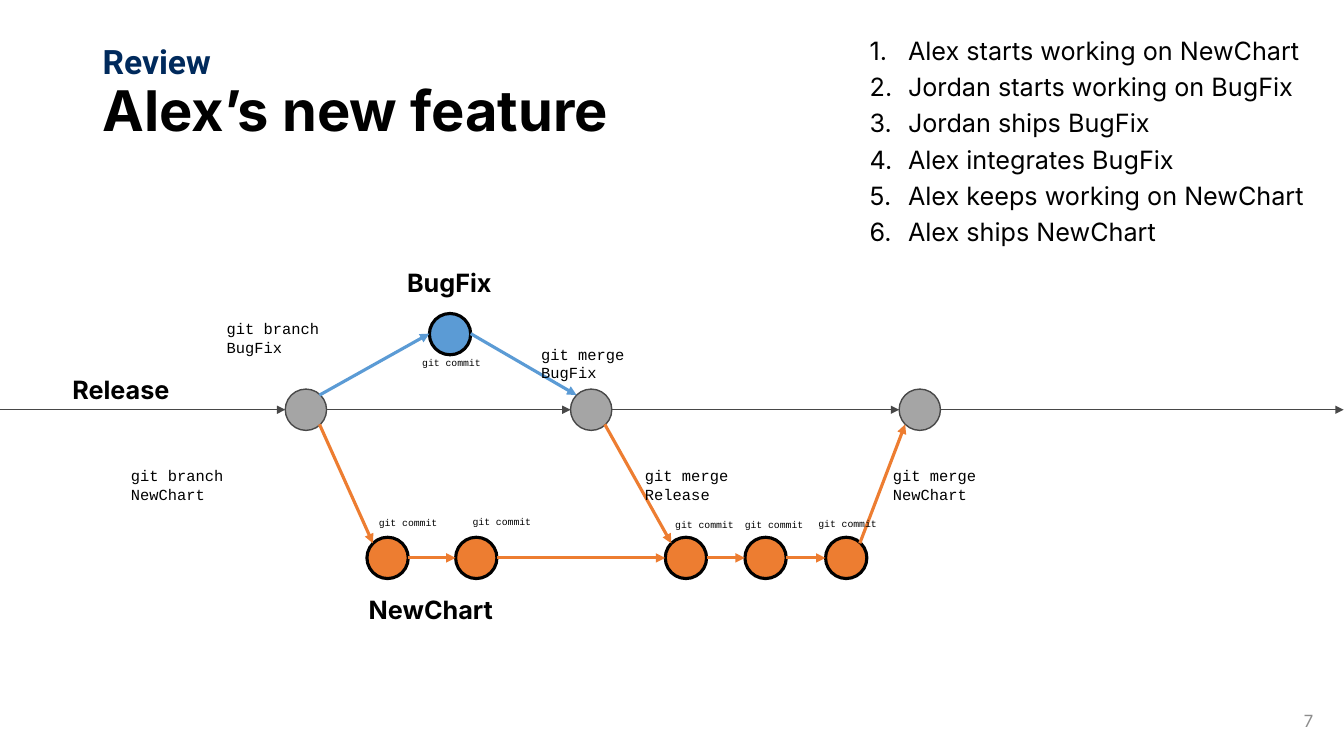
from pptx import Presentation
from pptx.dml.color import RGBColor
from pptx.enum.shapes import MSO_CONNECTOR, MSO_SHAPE
from pptx.enum.text import MSO_ANCHOR, MSO_AUTO_SIZE, PP_ALIGN
from pptx.oxml.ns import qn
from pptx.util import Pt
from lxml.etree import SubElement

PX = 9144  # 100 px to the inch
COLORS = {
    "black": "000000", "navy": "002A5C", "number": "8C8C8C",
    "release": "A5A5A5", "line": "484848",
    "newchart": "ED7D31", "bugfix": "5B9BD5",
}
RGB = {name: RGBColor.from_string(code) for name, code in COLORS.items()}
D = 41  # commit circle diameter
RELEASE_Y, NEWCHART_Y, BUGFIX_Y = 386, 533, 311

prs = Presentation()
prs.slide_width, prs.slide_height = 12192000, 750 * PX
s = prs.slides.add_slide(prs.slide_layouts[5])


def write(sp, box, text, size, font="Inter", color="black", bold=False, wrap=False):
    sp.left, sp.top, sp.width, sp.height = (v * PX for v in box)
    tf = sp.text_frame
    tf.text = text
    tf.word_wrap = wrap
    tf.auto_size = MSO_AUTO_SIZE.NONE
    for p in tf.paragraphs:
        p.alignment = PP_ALIGN.LEFT
        p.font.size, p.font.name, p.font.bold = Pt(size), font, bold
        p.font.color.rgb = RGB[color]
    return tf


def arrow(start, end, color, width):
    c = s.shapes.add_connector(MSO_CONNECTOR.STRAIGHT, *(round(v * PX) for v in start + end))
    c.line.color.rgb = RGB[color]
    c.line.width = Pt(width)
    props = c._element.spPr
    SubElement(props.find(qn("a:ln")), qn("a:tailEnd"), type="triangle")
    SubElement(props, qn("a:effectLst"))


# Title, subtitle and slide number
tf = write(s.shapes.title, (92, 40, 1150, 145), "Alex’s new feature", 40, bold=True, wrap=True)
tf.vertical_anchor = MSO_ANCHOR.MIDDLE
tf.paragraphs[0].line_spacing = 0.9

tf = write(s.shapes.add_textbox(0, 0, 0, 0), (92, 40, 849, 50), "Review", 24,
           "Roboto", "navy", bold=True, wrap=True)
tf.paragraphs[0].line_spacing = 0.9

tf = write(s.shapes.add_textbox(0, 0, 0, 0), (1013, 695, 300, 40), "7", 12,
           color="number", wrap=True)
tf.vertical_anchor = MSO_ANCHOR.MIDDLE
tf.paragraphs[0].alignment = PP_ALIGN.RIGHT

# Commits on each branch
branches = [
    ("release", RELEASE_Y, (283, 566, 892), "line", 1),
    ("newchart", NEWCHART_Y, (364, 452, 660, 739, 819), "black", 2.25),
    ("bugfix", BUGFIX_Y, (426,), "black", 2.25),
]
for branch, top, lefts, outline, width in branches:
    for left in lefts:
        sp = s.shapes.add_shape(MSO_SHAPE.OVAL, left * PX, top * PX, D * PX, D * PX)
        sp.shadow.inherit = False
        sp.fill.solid()
        sp.fill.fore_color.rgb = RGB[branch]
        sp.line.color.rgb = RGB[outline]
        sp.line.width = Pt(width)

# Arrows along the release and NewChart lines
release, newchart = branches[0][2], branches[1][2]
for start, end in zip((0,) + tuple(x + D for x in release), release + (1333,)):
    arrow((start, RELEASE_Y + D / 2), (end, RELEASE_Y + D / 2), "line", 1)
for left, following in zip(newchart, newchart[1:]):
    arrow((left + D, NEWCHART_Y + D / 2), (following, NEWCHART_Y + D / 2), "newchart", 2.25)

# Branch and merge arrows between the lines
for start, end, color in [
    ((317, 421), (370, 539), "newchart"),
    ((600, 421), (666, 539), "newchart"),
    ((853, 539), (898, 421), "newchart"),
    ((317, 392), (426, 331), "bugfix"),
    ((467, 331), (572, 392), "bugfix"),
]:
    arrow(start, end, color, 2.25)

# Branch names
for text, left, top, width in [
    ("Release", 62, 366, 118), ("NewChart", 356, 585, 145), ("BugFix", 394, 260, 105),
]:
    write(s.shapes.add_textbox(0, 0, 0, 0), (left, top, width, 40), text, 18, bold=True)

# Git commands, on two lines
for text, left, top in [
    ("git branch\vNewChart", 120, 458), ("git branch\vBugFix", 215, 312),
    ("git merge\vBugFix", 527, 337), ("git merge\vRelease", 630, 458),
    ("git merge\vNewChart", 876, 458),
]:
    write(s.shapes.add_textbox(0, 0, 0, 0), (left, top, 175, 43), text, 11,
          "Courier New", wrap=True)

# Commit labels
for left, top in [(366, 508), (459, 507), (409, 349), (660, 510), (729, 510), (802, 509)]:
    write(s.shapes.add_textbox(0, 0, 0, 0), (left, top, 78, 22), "git commit", 7, "Courier New")

# Numbered steps
steps = [
    "Alex starts working on NewChart",
    "Jordan starts working on BugFix",
    "Jordan ships BugFix",
    "Alex integrates BugFix",
    "Alex keeps working on NewChart",
    "Alex ships NewChart",
]
tf = write(s.shapes.add_textbox(0, 0, 0, 0), (853, 24, 451, 225), "\n".join(steps), 18)
for p in tf.paragraphs:
    p.line_spacing = 1.2
    props = p._p.get_or_add_pPr()
    props.set("marL", str(38 * PX))
    props.set("indent", str(-38 * PX))
    number = SubElement(props, qn("a:buAutoNum"), type="arabicPeriod")
    props.find(qn("a:defRPr")).addprevious(number)

prs.save("out.pptx")
